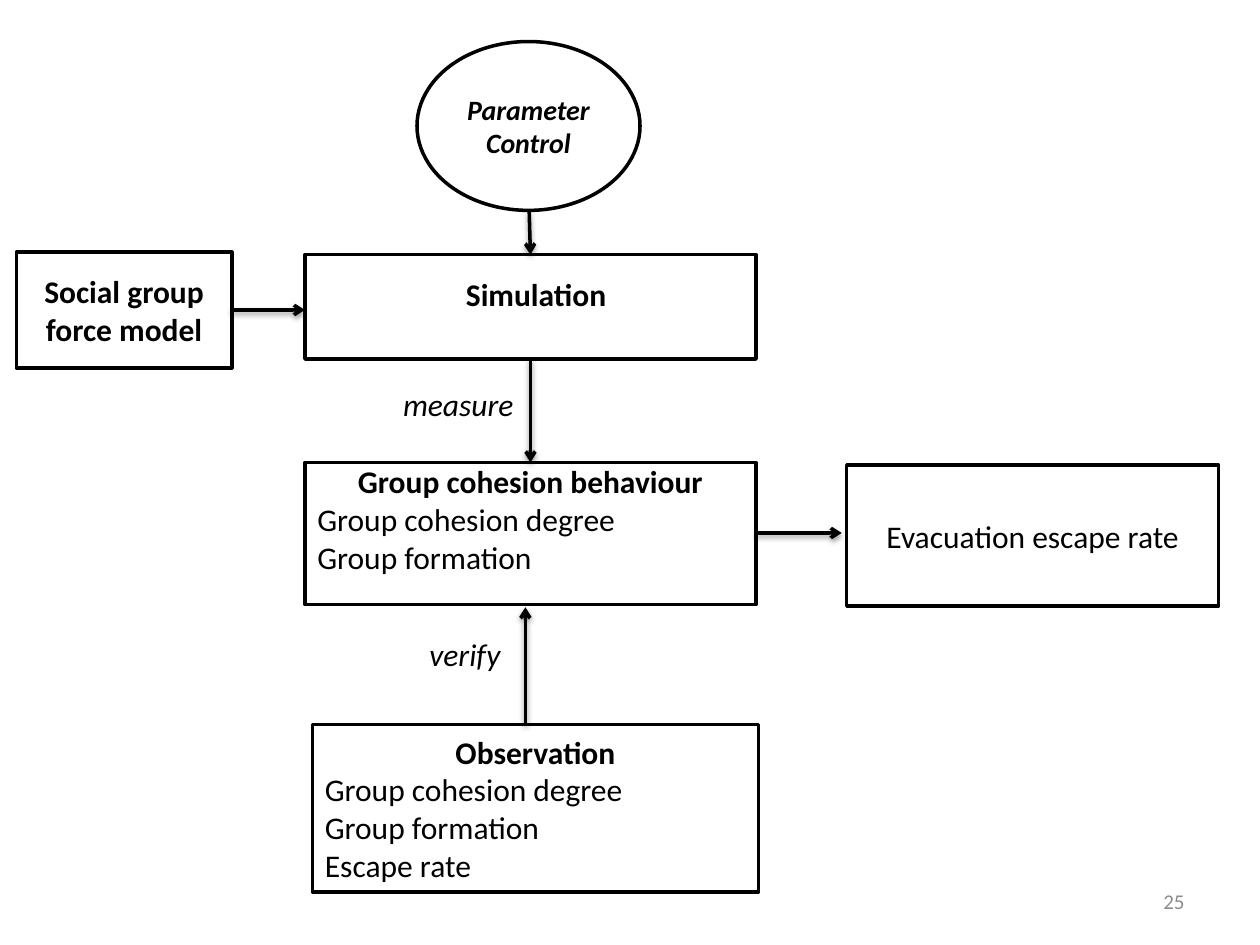
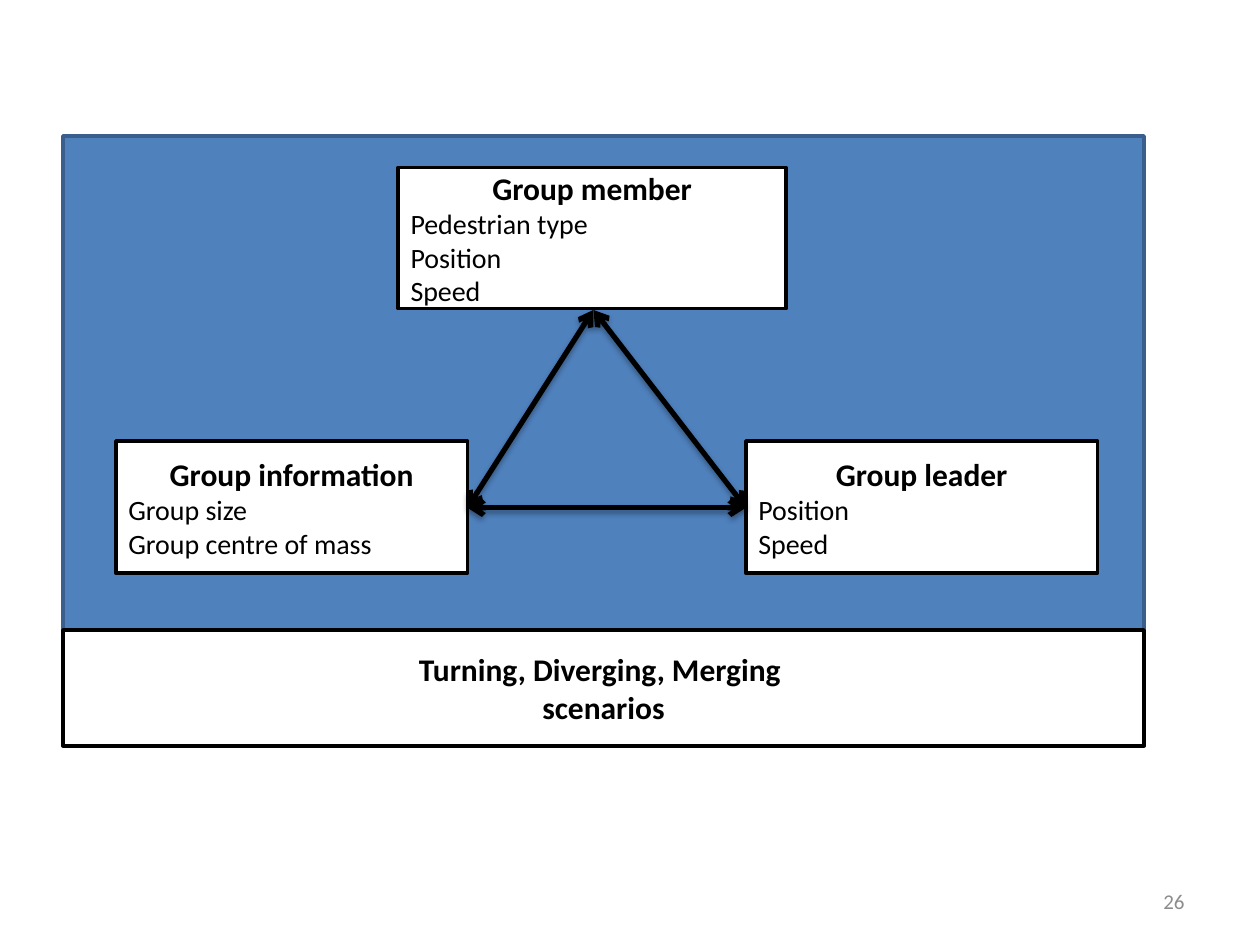
"""Builds two diagram slides about group cohesion in pedestrian simulation."""
from lxml.etree import SubElement
from pptx import Presentation
from pptx.dml.color import RGBColor
from pptx.enum.shapes import MSO_CONNECTOR, MSO_SHAPE
from pptx.enum.text import MSO_ANCHOR, MSO_AUTO_SIZE, PP_ALIGN
from pptx.oxml.ns import qn
from pptx.util import Pt

PX = 9144
BLACK = RGBColor(0x00, 0x00, 0x00)
WHITE = RGBColor(0xFF, 0xFF, 0xFF)
BLUE = RGBColor(0x4F, 0x81, 0xBD)
NAVY = RGBColor(0x3A, 0x5F, 0x8C)
GREY = RGBColor(0x8C, 0x8C, 0x8C)

HEAD = {"size": 18, "bold": True, "align": PP_ALIGN.CENTER}
PLAIN = {"size": 18}
SMALL = {"size": 16}
CENTRED = {"size": 18, "align": PP_ALIGN.CENTER}
CONTROL = {**HEAD, "size": 16, "italic": True}
LABEL = {"size": 18, "italic": True}
NUMBER = {"size": 12, "color": GREY, "align": PP_ALIGN.RIGHT}


def style_with(target, values):
    for name, value in values.items():
        setattr(target, name, value)


class Deck:
    """Holds the shared style and the current slide."""

    font = "Calibri"

    def __init__(self):
        self.prs = Presentation()
        style_with(self.prs, {"slide_width": 1000 * PX, "slide_height": 750 * PX})

    def slide(self, number):
        self.s = self.prs.slides.add_slide(self.prs.slide_layouts[6])
        self.text((717, 695, 233, 40), [(str(number), NUMBER)],
                  word_wrap=True, auto_size=MSO_AUTO_SIZE.NONE,
                  vertical_anchor=MSO_ANCHOR.MIDDLE)

    def fill_text(self, tf, lines, frame):
        style_with(tf, frame)
        for i, (text, style) in enumerate(lines):
            p = tf.add_paragraph() if i else tf.paragraphs[0]
            p.alignment = style.get("align", PP_ALIGN.LEFT)
            r = p.add_run()
            r.text = text
            style_with(r.font, {"name": self.font, "size": Pt(style["size"]),
                                "bold": style.get("bold", False),
                                "italic": style.get("italic", False)})
            r.font.color.rgb = style.get("color", BLACK)

    def box(self, at, lines=(), kind=MSO_SHAPE.RECTANGLE, fill=WHITE, line=BLACK, **frame):
        sp = self.s.shapes.add_shape(kind, *(v * PX for v in at))
        sp.shadow.inherit = False
        sp.fill.solid()
        sp.fill.fore_color.rgb = fill
        sp.line.color.rgb = line
        sp.line.width = Pt(2)
        self.fill_text(sp.text_frame, lines,
                       {"word_wrap": True, "vertical_anchor": MSO_ANCHOR.MIDDLE, **frame})

    def text(self, at, lines, **frame):
        sp = self.s.shapes.add_textbox(*(v * PX for v in at))
        self.fill_text(sp.text_frame, lines,
                       {"word_wrap": False, "auto_size": MSO_AUTO_SIZE.SHAPE_TO_FIT_TEXT,
                        **frame})

    def arrow(self, start, end, width=2, both=False, alpha=38, drop=20000):
        c = self.s.shapes.add_connector(MSO_CONNECTOR.STRAIGHT, *(v * PX for v in start + end))
        c.line.color.rgb = BLACK
        c.line.width = Pt(width)
        spPr = c.element.spPr
        ln = spPr.find(qn("a:ln"))
        for tag in ("a:headEnd", "a:tailEnd") if both else ("a:tailEnd",):
            SubElement(ln, qn(tag), type="arrow")
        shadow = SubElement(SubElement(spPr, qn("a:effectLst")), qn("a:outerShdw"),
                            blurRad="40000", dist=str(drop), dir="5400000", rotWithShape="0")
        color = SubElement(shadow, qn("a:srgbClr"), val=str(BLACK))
        SubElement(color, qn("a:alpha"), val=str(alpha * 1000))


def method_slide(deck):
    deck.slide(25)
    measures = [("Group cohesion degree", PLAIN), ("Group formation", PLAIN)]
    deck.box((13, 200, 171, 92), [("Social group force model", HEAD)])
    deck.box((242, 367, 358, 113), [("Group cohesion behaviour", HEAD)] + measures,
             vertical_anchor=MSO_ANCHOR.TOP, margin_top=0)
    deck.box((242, 202, 358, 83))
    deck.box((672, 369, 295, 112), [("Evacuation escape rate", CENTRED)])
    deck.text((331, 499, 78, 40), [("verify", LABEL)])
    deck.box((331, 33, 177, 134), [("Parameter", CONTROL), ("Control", CONTROL)],
             kind=MSO_SHAPE.OVAL)
    deck.text((359, 213, 133, 40), [("Simulation", HEAD)])
    deck.box((248, 575, 354, 133),
             [("Observation", HEAD)] + measures + [("Escape rate", PLAIN)])
    deck.text((310, 301, 111, 40), [("measure", LABEL)])
    for start, end in (((183, 246), (242, 246)), ((421, 285), (421, 367)),
                       ((420, 168), (421, 202)), ((600, 423), (668, 423)),
                       ((417, 575), (417, 482))):
        deck.arrow(start, end)


def group_slide(deck):
    deck.slide(26)
    deck.box((50, 108, 858, 483), fill=BLUE, line=NAVY)
    for at, title, items in (
            ((92, 350, 279, 105), "Group information", ("Group size", "Group centre of mass")),
            ((316, 133, 308, 112), "Group member", ("Pedestrian type", "Position", "Speed")),
            ((592, 350, 279, 105), "Group leader", ("Position", "Speed"))):
        deck.box(at, [(title, HEAD)] + [(item, SMALL) for item in items])
    deck.box((50, 500, 858, 92),
             [("Turning, Diverging, Merging ", HEAD), ("scenarios", HEAD)])
    member, information, leader = (471, 246), (371, 403), (592, 403)
    for start, end in ((member, information), (member, leader), (information, leader)):
        deck.arrow(start, end, width=3, both=True, alpha=35, drop=23000)


def main():
    deck = Deck()
    method_slide(deck)
    group_slide(deck)
    deck.prs.save("out.pptx")


if __name__ == "__main__":
    main()
